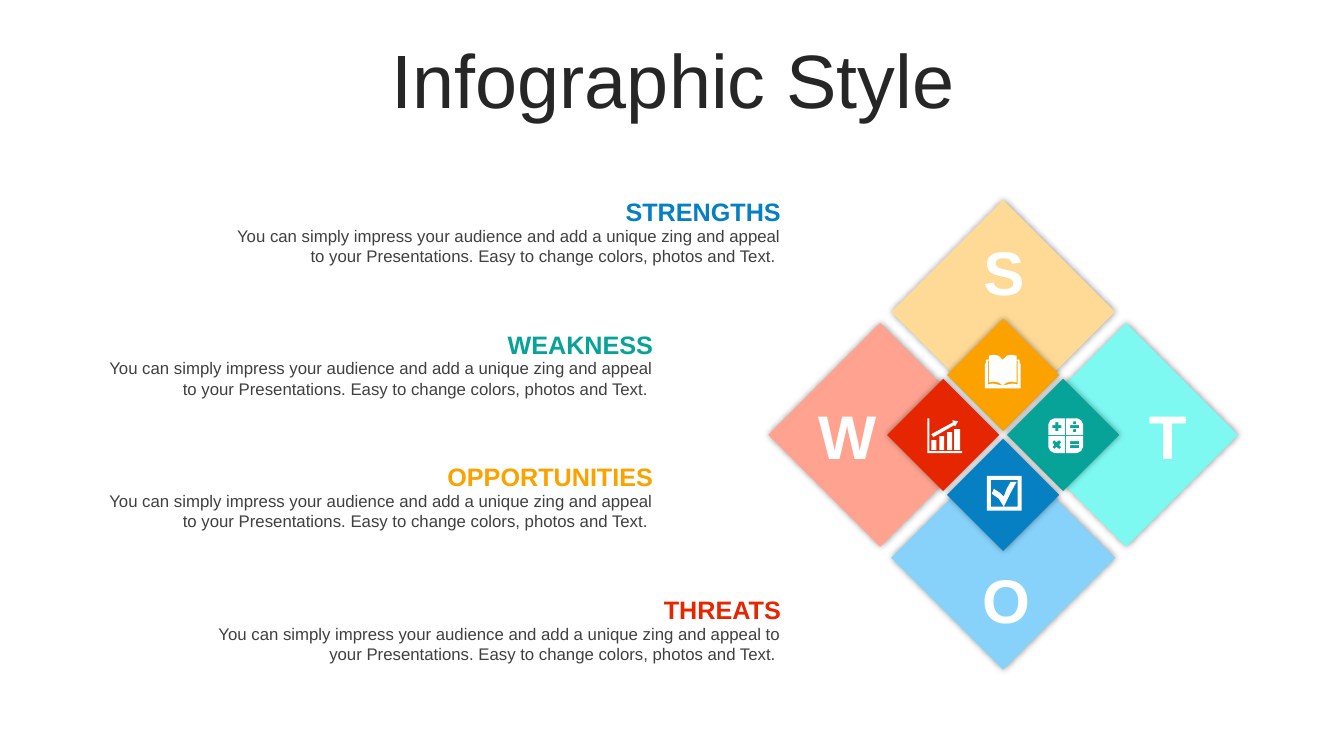
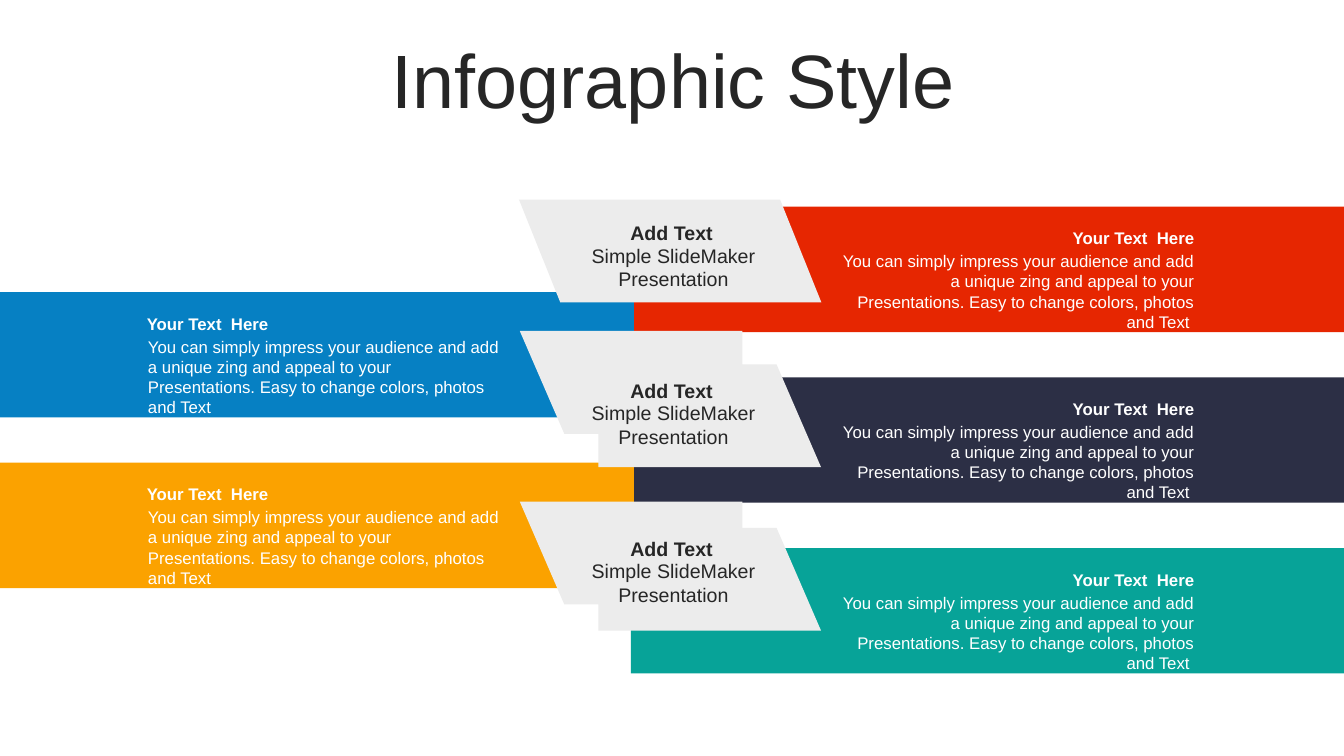
"""Build two infographic slides: a SWOT diamond and a set of crossing bands."""
from dataclasses import dataclass

from lxml.etree import SubElement
from pptx import Presentation
from pptx.dml.color import RGBColor
from pptx.enum.shapes import MSO_SHAPE as Preset
from pptx.enum.text import MSO_ANCHOR as Anchor, MSO_AUTO_SIZE as AutoSize, PP_ALIGN as Align
from pptx.oxml.ns import qn
from pptx.util import Cm, Pt


@dataclass(frozen=True)
class Theme:
    """Colours, font and type sizes shared by the slides."""
    font: str = "Arial"
    white: str = "FFFFFF"
    ink: str = "262626"
    body: str = "404040"
    panel: str = "ECECEC"
    blue: str = "0680C3"
    teal: str = "07A398"
    orange: str = "FBA200"
    red: str = "E62601"
    navy: str = "2C2F45"
    light_blue: str = "87D2FB"
    light_teal: str = "7DF9F1"
    light_orange: str = "FFDA97"
    light_red: str = "FFA290"
    title_size: int = 54
    letter_size: int = 44
    heading_size: int = 18
    label_size: int = 14
    body_size: int = 12


THEME = Theme()
ICON_UNIT = Cm(0.9) / 36
PITCH = "You can simply impress your audience and add a unique zing and appeal to your Presentations. "
SWOT_TEXT = PITCH + "Easy to change colors, photos and Text. "
BAND_TEXT = PITCH + "Easy to change colors, photos and Text "


def box(left, top, right, bottom):
    """Return the corners of a rectangle as a contour."""
    return [(left, top), (right, top), (right, bottom), (left, bottom)]


def mirror(contour, width=None, height=None):
    """Reflect a contour inside the given width, height or both."""
    return [(x if width is None else width - x, y if height is None else height - y)
            for x, y in contour]


def chart_icon():
    """Return the contours of a rising bar chart."""
    bars = [box(4, 22, 9, 32), box(12, 18, 17, 32), box(20, 14, 25, 32), box(27, 11, 33, 32)]
    arrow = [(25, 2), (31, 3), (28, 8), (27, 7), (6, 19), (4, 16), (26, 4)]
    axes = [(0, 0), (2, 0), (2, 33), (35, 33), (35, 35), (0, 35)]
    return bars + [arrow, axes]


def calculator_icon():
    """Return the contours of four keys with their signs cut out."""
    key = [(6, 0), (17, 0), (17, 17), (0, 17), (0, 6), (2, 2)]
    keys = [mirror(key, width, height) for width in (None, 35) for height in (None, 35)]
    plus = [(7, 4), (10, 4), (10, 7), (13, 7), (13, 10), (10, 10),
            (10, 13), (7, 13), (7, 10), (4, 10), (4, 7), (7, 7)]
    times = [(6, 22), (4, 24), (6, 27), (4, 29), (6, 31), (8, 29),
             (11, 31), (13, 29), (11, 27), (13, 24), (11, 22), (8, 24)]
    divide = [box(25, 3, 28, 6), box(22, 7, 31, 10), box(25, 11, 28, 14)]
    equals = [box(22, 23, 31, 26), box(22, 27, 31, 30)]
    return keys + [plus, times] + divide + equals


def book_icon():
    """Return the contours of an open book."""
    half = [(18, 34), (0, 34), (0, 9), (1, 9), (1, 5), (4, 5), (4, 1), (9, 0), (14, 1), (18, 5)]
    cover = half + mirror(half, 36)[::-1]
    page = [(3, 6), (4, 6), (4, 28), (9, 27), (14, 28), (18, 31), (13, 30), (8, 29), (3, 30)]
    return [cover, page, mirror(page, 36), box(17.8, 6, 18.2, 31)]


def check_icon():
    """Return the contours of a ticked box."""
    left_part = [(31, 4), (4, 4), (4, 31), (17, 31), (12, 23), (5, 18), (7, 13), (13, 17)]
    right_part = [(17, 21), (20, 13), (24, 6), (30, 6), (24, 17), (17, 31), (31, 31)]
    return [box(0, 0, 35, 35), left_part + right_part]


class Deck:
    """Hold the theme and the current slide, and draw each kind of element."""

    def __init__(self, theme):
        self.theme = theme
        self.presentation = Presentation()
        self.presentation.slide_width = Cm(33.87)
        self.presentation.slide_height = Cm(19.05)
        self.slide = None

    def add_slide(self, title):
        self.slide = self.presentation.slides.add_slide(self.presentation.slide_layouts[6])
        self.text(title, 0.89, 1.12, 32.16, 2.01, self.theme.title_size, self.theme.ink,
                  align=Align.CENTER, anchor=Anchor.MIDDLE, grow=False, line_spacing=0.9)

    def text(self, words, left, top, width, height, size, color, bold=False,
             align=Align.LEFT, anchor=Anchor.TOP, grow=True, line_spacing=None):
        shape = self.slide.shapes.add_textbox(Cm(left), Cm(top), Cm(width), Cm(height))
        frame = shape.text_frame
        paragraph = frame.paragraphs[0]
        run = paragraph.add_run()
        run.text = words
        auto_size = AutoSize.SHAPE_TO_FIT_TEXT if grow else AutoSize.NONE
        formats = (
            (frame, {"word_wrap": True, "auto_size": auto_size, "vertical_anchor": anchor}),
            (paragraph, {"alignment": align, "line_spacing": line_spacing}),
            (run.font, {"name": self.theme.font, "size": Pt(size), "bold": bold}),
            (run.font.color, {"rgb": RGBColor.from_string(color)}),
        )
        for target, values in formats:
            for name, value in values.items():
                setattr(target, name, value)

    def paint(self, shape, color):
        shape.shadow.inherit = False
        shape.fill.solid()
        shape.fill.fore_color.rgb = RGBColor.from_string(color)
        shape.line.fill.background()

    def preset(self, kind, left, top, width, height, color, rotation=0):
        shape = self.slide.shapes.add_shape(kind, Cm(left), Cm(top), Cm(width), Cm(height))
        shape.rotation = rotation
        self.paint(shape, color)
        return shape

    def diamond(self, center_x, center_y, side, color):
        shape = self.preset(Preset.RECTANGLE, center_x - side / 2, center_y - side / 2,
                            side, side, color, 45)
        effects = shape._element.spPr.find(qn("a:effectLst"))
        shadow = SubElement(effects, qn("a:outerShdw"), blurRad=str(Pt(5)), dist="0",
                            dir="0", algn="ctr", rotWithShape="0")
        black = SubElement(shadow, qn("a:srgbClr"), val="000000")
        SubElement(black, qn("a:alpha"), val="40000")

    def outline(self, contours, left, top, unit, color):
        first, *others = contours
        builder = self.slide.shapes.build_freeform(*first[0], scale=unit)
        builder.add_line_segments(first[1:], close=True)
        for contour in others:
            builder.move_to(*contour[0])
            builder.add_line_segments(contour[1:], close=True)
        self.paint(builder.convert_to_shape(Cm(left), Cm(top)), color)


def add_swot_slide(deck):
    """Draw four headed texts beside the SWOT diamond."""
    theme = deck.theme
    deck.add_slide("Infographic Style")
    center_x, center_y = 25.28, 10.96
    quarters = (
        ("S", 0, -1, theme.light_orange, theme.orange, book_icon(), 24.82, 8.94),
        ("T", 1, 0, theme.light_teal, theme.teal, calculator_icon(), 26.42, 10.54),
        ("O", 0, 1, theme.light_blue, theme.blue, check_icon(), 24.87, 11.99),
        ("W", -1, 0, theme.light_red, theme.red, chart_icon(), 23.37, 10.54),
    )
    for _, across, down, light, *_ in quarters:
        deck.diamond(center_x + 3.1 * across, center_y + 3.1 * down, 3.99, light)
    for letter, across, down, _, strong, icon, icon_left, icon_top in quarters:
        deck.diamond(center_x + 1.51 * across, center_y + 1.51 * down, 2, strong)
        deck.outline(icon, icon_left, icon_top, ICON_UNIT, theme.white)
        deck.text(letter, center_x + 4.13 * across - 0.78, center_y + 4.13 * down - 1.06,
                  1.6, 2.13, theme.letter_size, theme.white, bold=True,
                  align=Align.CENTER, anchor=Anchor.MIDDLE)

    entries = (
        ("STRENGTHS", theme.blue, 19.93, 14.58),
        ("WEAKNESS", theme.teal, 16.71, 14.58),
        ("OPPORTUNITIES", theme.orange, 16.71, 14.58),
        ("THREATS", theme.red, 19.93, 14.68),
    )
    for row, (heading, color, right, width) in enumerate(entries):
        top = 4.83 + 3.34 * row
        deck.text(heading, right - width, top, width, 0.76, theme.heading_size, color,
                  bold=True, align=Align.RIGHT)
        deck.text(SWOT_TEXT, right - width, top + 0.73, width, 1.27, theme.body_size,
                  theme.body, align=Align.RIGHT)


def add_band_slide(deck):
    """Draw bands from both sides that meet at three central panels."""
    theme = deck.theme
    deck.add_slide("Infographic Style")
    step = 4.3
    left_top, right_top = 7.36, 5.21
    bands = (
        (0, left_top + step, 17.81, theme.orange, 3.45, Align.LEFT),
        (0, left_top, 17.81, theme.blue, 3.45, Align.LEFT),
        (15.9, right_top + 2 * step, 17.97, theme.teal, 20.9, Align.RIGHT),
        (15.98, right_top + step, 17.89, theme.navy, 20.9, Align.RIGHT),
        (15.98, right_top, 17.89, theme.red, 20.9, Align.RIGHT),
    )
    for left, top, width, color, text_left, align in bands:
        deck.preset(Preset.RECTANGLE, left, top, width, 3.16, color)
        deck.text("Your Text  Here", text_left, top + 0.41, 9.45, 0.76, theme.body_size,
                  theme.white, bold=True, align=align)
        deck.text(BAND_TEXT, text_left + 0.03, top + 0.99, 9.42, 1.8, theme.body_size,
                  theme.white, align=align)

    slant = [(0, 0), (658, 0), (762, 259), (104, 259)]
    deck.outline([slant], 13.08, 5.03, Cm(0.01), theme.panel)
    for right_panel_top, left_panel_top in ((7.67, 6.83), (11.79, 11.13)):
        for left, top, rotation in ((16.59, right_panel_top, 90), (14.61, left_panel_top, 270)):
            deck.preset(Preset.FLOWCHART_MANUAL_INPUT, left, top, 2.59, 5.61,
                        theme.panel, rotation)

    for row in range(3):
        top = 5.44 + 3.98 * row
        deck.text("Add Text", 13.84, top, 6.17, 0.86, theme.label_size, theme.ink,
                  bold=True, align=Align.CENTER)
        deck.text("Simple SlideMaker Presentation", 13.89, top + 0.57, 6.17, 2.06,
                  theme.label_size, theme.ink, align=Align.CENTER)


def main():
    """Build both slides and save the file."""
    deck = Deck(THEME)
    add_swot_slide(deck)
    add_band_slide(deck)
    deck.presentation.save("out.pptx")


if __name__ == "__main__":
    main()
